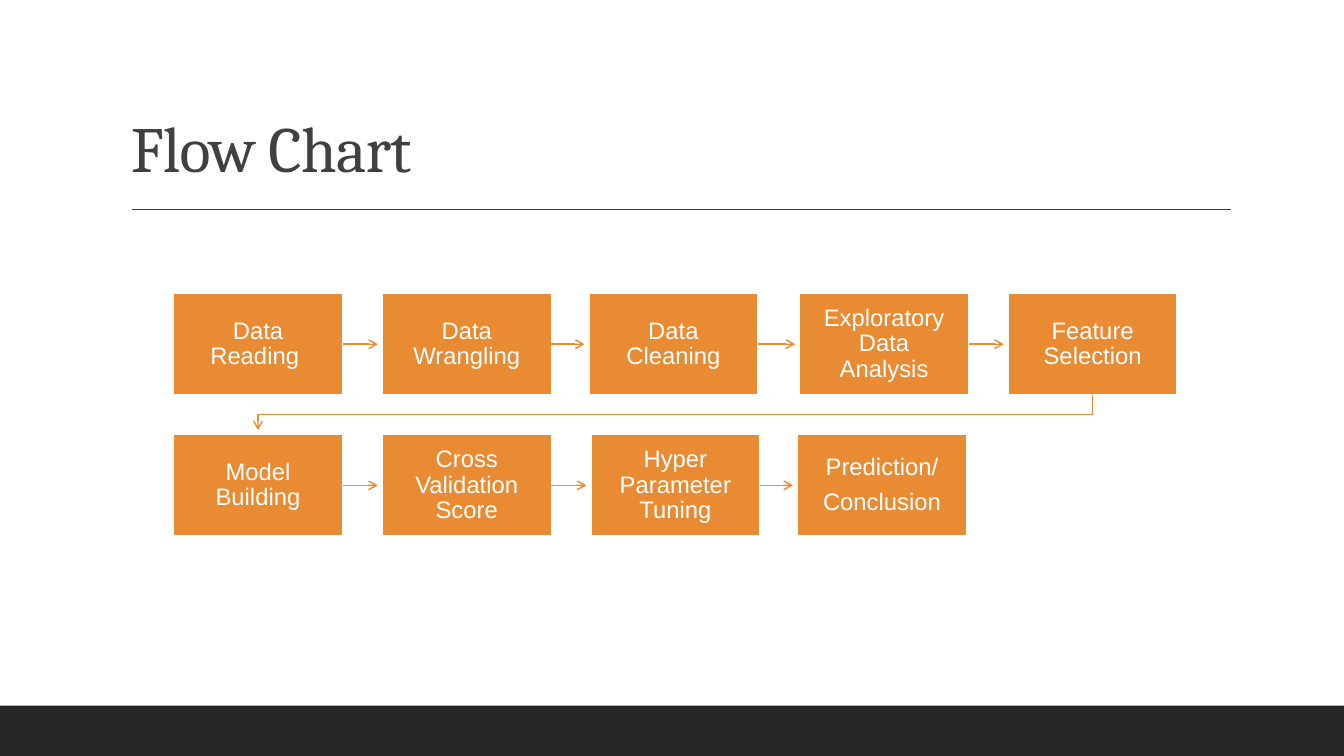
from dataclasses import dataclass
from itertools import pairwise

from lxml.etree import SubElement
from pptx import Presentation
from pptx.dml.color import RGBColor
from pptx.enum.shapes import MSO_CONNECTOR, MSO_SHAPE
from pptx.enum.text import MSO_ANCHOR, PP_ALIGN
from pptx.oxml.ns import qn
from pptx.util import Pt

COLORS = {"step": "E88B33", "white": "FFFFFF", "title": "404040", "footer": "262626"}
STEP_WIDTH, STEP_HEIGHT = 121, 72.7
READING_TOP, MODELING_TOP = 209.5, 310.3
ARROW_GAP = 3


@dataclass(frozen=True)
class Step:
    left: float
    lines: tuple[str, ...]


@dataclass(frozen=True)
class StepRow:
    top: float
    steps: tuple[Step, ...]


ROWS = (
    StepRow(READING_TOP, (
        Step(123.8, ("Data Reading ",)),
        Step(272.9, ("Data Wrangling",)),
        Step(420.5, ("Data Cleaning",)),
        Step(571, ("Exploratory Data Analysis",)),
        Step(720, ("Feature Selection",)),
    )),
    StepRow(MODELING_TOP, (
        Step(123.8, ("Model Building",)),
        Step(272.9, ("Cross Validation Score",)),
        Step(421.9, ("Hyper Parameter Tuning",)),
        Step(569.5, ("Prediction/", "Conclusion")),
    )),
)


def color(name: str) -> RGBColor:
    return RGBColor.from_string(COLORS[name])


def style_line(line, name: str, arrow: bool = False) -> None:
    line.color.rgb = color(name)
    line.width = Pt(1)
    if arrow:
        SubElement(line._get_or_add_ln(), qn("a:tailEnd"), type="arrow")


def add_line(slide, x1: float, y1: float, x2: float, y2: float, name: str, arrow: bool = False):
    connector = slide.shapes.add_connector(
        MSO_CONNECTOR.STRAIGHT, Pt(x1), Pt(y1), Pt(x2), Pt(y2))
    style_line(connector.line, name, arrow)
    SubElement(connector._element.spPr, qn("a:effectLst"))
    return connector


def add_rectangle(slide, left: float, top: float, width: float, height: float, name: str):
    rectangle = slide.shapes.add_shape(
        MSO_SHAPE.RECTANGLE, Pt(left), Pt(top), Pt(width), Pt(height))
    rectangle.shadow.inherit = False
    rectangle.fill.solid()
    rectangle.fill.fore_color.rgb = color(name)
    rectangle.line.fill.background()
    return rectangle


def add_text(paragraph, text: str, font: str, size: float, name: str):
    paragraph.line_spacing = 0.9
    run = paragraph.add_run()
    run.text = text
    run.font.name = font
    run.font.size = Pt(size)
    run.font.color.rgb = color(name)
    return run


def add_title(slide) -> None:
    title = slide.shapes.add_textbox(Pt(86.4), Pt(22.3), Pt(792), Pt(114.5))
    frame = title.text_frame
    frame.word_wrap = True
    frame.vertical_anchor = MSO_ANCHOR.BOTTOM
    run = add_text(frame.paragraphs[0], "Flow Chart", "Cambria", 46, "title")
    run._r.get_or_add_rPr().set("spc", "-50")


def add_step(slide, step: Step, top: float):
    box = add_rectangle(slide, step.left, top, STEP_WIDTH, STEP_HEIGHT, "step")
    box.line.color.rgb = color("white")
    box.line.width = Pt(1.25)
    frame = box.text_frame
    frame.word_wrap = True
    frame.vertical_anchor = MSO_ANCHOR.MIDDLE
    frame.margin_left = frame.margin_right = Pt(9.4)
    frame.margin_top = frame.margin_bottom = Pt(9.4)
    for index, line in enumerate(step.lines):
        paragraph = frame.add_paragraph() if index else frame.paragraphs[0]
        paragraph.alignment = PP_ALIGN.CENTER
        paragraph.space_after = Pt(6)
        add_text(paragraph, line, "Arial", 17, "white")
    return box


def add_row(slide, row: StepRow) -> None:
    boxes = [add_step(slide, step, row.top) for step in row.steps]
    middle = row.top + STEP_HEIGHT / 2
    for box, (step, following) in zip(boxes, pairwise(row.steps)):
        arrow = add_line(slide, step.left + STEP_WIDTH, middle,
                         following.left - ARROW_GAP, middle, "step", arrow=True)
        arrow.begin_connect(box, 3)


def add_row_turn(slide, upper: StepRow, lower: StepRow) -> None:
    start_x = upper.steps[-1].left + STEP_WIDTH / 2
    end_x = lower.steps[0].left + STEP_WIDTH / 2
    start_y = upper.top + STEP_HEIGHT
    turn_y = (start_y + lower.top) / 2
    corners = ((start_x, turn_y), (end_x, turn_y), (end_x, lower.top - ARROW_GAP))
    builder = slide.shapes.build_freeform(Pt(start_x), Pt(start_y))
    builder.add_line_segments([(Pt(x), Pt(y)) for x, y in corners], close=False)
    turn = builder.convert_to_shape()
    turn.shadow.inherit = False
    turn.fill.background()
    style_line(turn.line, "step", arrow=True)


def main() -> None:
    presentation = Presentation()
    presentation.slide_width, presentation.slide_height = Pt(960), Pt(540)
    slide = presentation.slides.add_slide(presentation.slide_layouts[6])
    add_rectangle(slide, 0, 504, 960, 36, "footer")
    add_line(slide, 94.3, 149.5, 879, 149.5, "title")
    add_title(slide)
    for row in ROWS:
        add_row(slide, row)
    add_row_turn(slide, *ROWS)
    presentation.save("out.pptx")


if __name__ == "__main__":
    main()
